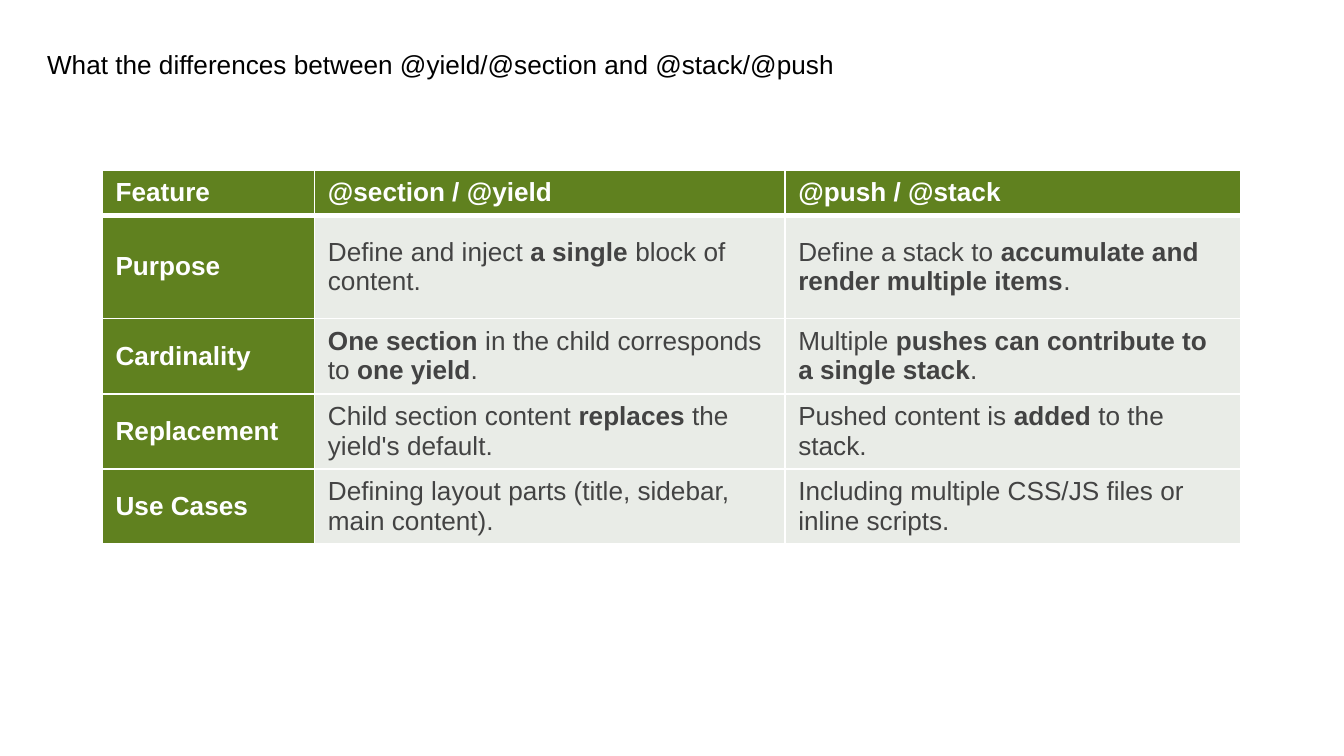
from lxml import etree
from pptx import Presentation
from pptx import util as u
from pptx.dml.color import RGBColor
from pptx.enum import text
from pptx.oxml import ns

COLORS = {"title": "000000", "header": "60811F", "body": "E9ECE7",
          "light": "FFFFFF", "dark": "434343"}
COLUMN_WIDTHS = [1.58, 3.5, 3.39]
ROW_HEIGHTS = [0.33, 0.77, 0.56, 0.56, 0.56]
COMPARISON = [
    ["Feature", "@section / @yield", "@push / @stack"],
    ["Purpose", "Define and inject **a single **block of content.",
     "Define a stack to **accumulate and render multiple items**."],
    ["Cardinality", "**One section **in the child corresponds to **one yield**.",
     "Multiple **pushes can contribute to a single stack**."],
    ["Replacement", "Child section content **replaces** the yield's default.",
     "Pushed content is **added** to the stack."],
    ["Use Cases", "Defining layout parts (title, sidebar, main content).",
     "Including multiple CSS/JS files or inline scripts."],
]


class SlideBuilder:
    font_name = "Arial"
    font_size = u.Pt(14)

    def __init__(self, slide):
        self.slide = slide

    def style(self, paragraph, color):
        paragraph.alignment = text.PP_ALIGN.LEFT
        paragraph.font.name = self.font_name
        paragraph.font.size = self.font_size
        paragraph.font.color.rgb = RGBColor.from_string(COLORS[color])

    def title(self, wording, left, top, width, height):
        heading = self.slide.shapes.title
        heading.left, heading.top = u.Inches(left), u.Inches(top)
        heading.width, heading.height = u.Inches(width), u.Inches(height)
        frame = heading.text_frame
        frame.text = wording
        frame.word_wrap = True
        frame.auto_size = text.MSO_AUTO_SIZE.NONE
        frame.vertical_anchor = text.MSO_ANCHOR.TOP
        self.style(frame.paragraphs[0], "title")

    def border(self, cell, side, points):
        properties = cell._tc.get_or_add_tcPr()
        line = etree.SubElement(properties, ns.qn(f"a:ln{side}"), w=str(u.Pt(points)))
        fill = etree.SubElement(line, ns.qn("a:solidFill"))
        etree.SubElement(fill, ns.qn("a:srgbClr"), val=COLORS["light"])

    def cell(self, cell, wording, row, column):
        is_header = row == 0 or column == 0
        widths = {"L": 1, "R": 1, "T": 3 if row == 1 else 1, "B": 3 if row == 0 else 1}
        for side, points in widths.items():
            self.border(cell, side, points)
        cell.fill.solid()
        cell.fill.fore_color.rgb = RGBColor.from_string(
            COLORS["header" if is_header else "body"])
        cell.vertical_anchor = text.MSO_ANCHOR.MIDDLE
        paragraph = cell.text_frame.paragraphs[0]
        self.style(paragraph, "light" if is_header else "dark")
        for position, part in enumerate(wording.split("**")):
            if part:
                run = paragraph.add_run()
                run.text = part
                run.font.bold = is_header or position % 2 == 1

    def table(self, rows, left, top, widths, heights):
        table = self.slide.shapes.add_table(
            len(rows), len(widths), u.Inches(left), u.Inches(top),
            u.Inches(sum(widths)), u.Inches(sum(heights))).table
        for column, width in zip(table.columns, widths):
            column.width = u.Inches(width)
        for row, height in zip(table.rows, heights):
            row.height = u.Inches(height)
        for r, entries in enumerate(rows):
            for c, wording in enumerate(entries):
                self.cell(table.cell(r, c), wording, r, c)


def main():
    deck = Presentation()
    deck.slide_width = u.Inches(10)
    deck.slide_height = deck.slide_width * 9 // 16
    builder = SlideBuilder(deck.slides.add_slide(deck.slide_layouts[5]))
    builder.title("What the differences between @yield/@section and @stack/@push",
                  0.25, 0.31, 8.26, 0.34)
    builder.table(COMPARISON, 0.76, 1.27, COLUMN_WIDTHS, ROW_HEIGHTS)
    deck.save("out.pptx")


if __name__ == "__main__":
    main()
